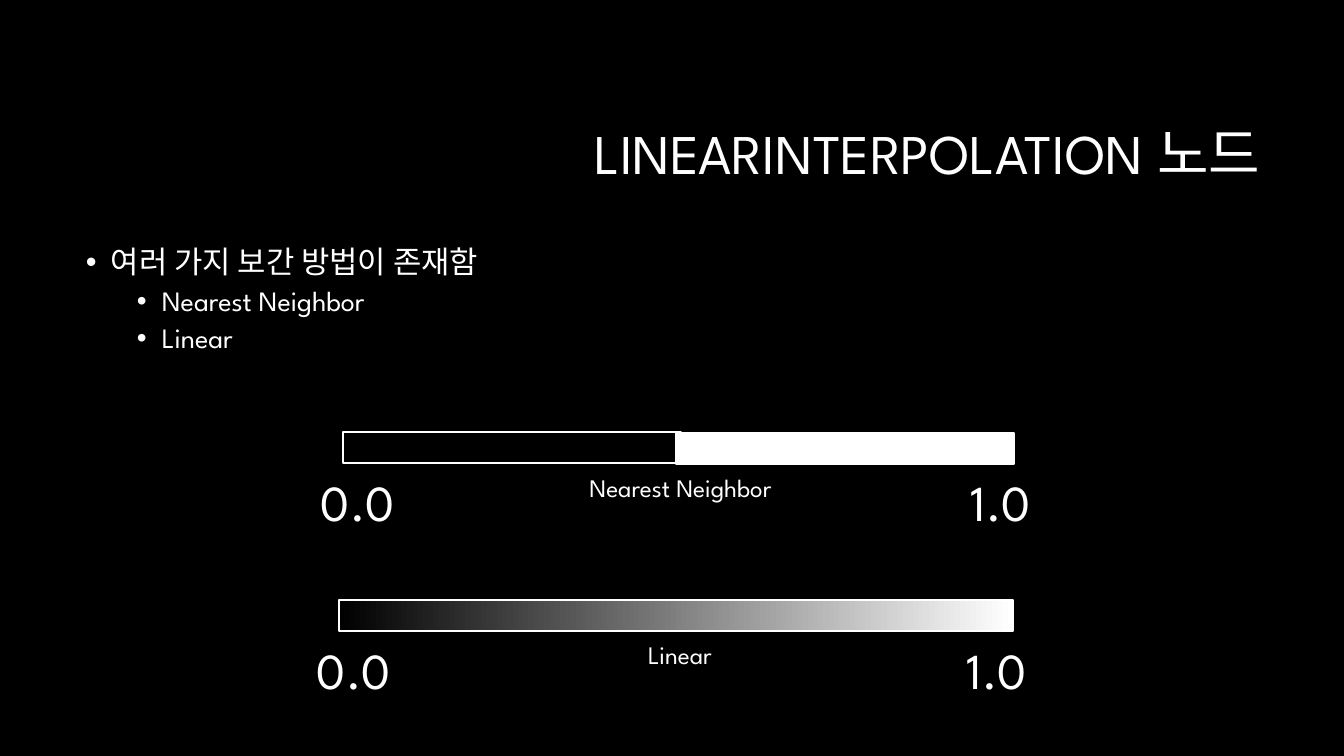
from dataclasses import dataclass

import lxml.etree
import pptx
import pptx.dml.color
import pptx.enum.shapes
import pptx.enum.text
import pptx.oxml.ns
import pptx.util

BLACK = pptx.dml.color.RGBColor(0x00, 0x00, 0x00)
WHITE = pptx.dml.color.RGBColor(0xFF, 0xFF, 0xFF)
FONT = "League Spartan"
SLIDE_WIDTH, SLIDE_HEIGHT = 1344, 756
EMU_PER_PX = 12192000 / SLIDE_WIDTH
ALIGN = pptx.enum.text.PP_ALIGN
ANCHOR = pptx.enum.text.MSO_ANCHOR


@dataclass(frozen=True)
class Area:
    left: int
    top: int
    width: int
    height: int


@dataclass(frozen=True)
class Bullet:
    text: str
    level: int
    size: int
    space_before: int
    indent: int


@dataclass(frozen=True)
class Scale:
    caption: str
    caption_area: Area
    label_left: int
    label_top: int


BULLETS = (
    Bullet("여러 가지 보간 방법이 존재함", 0, 22, 0, 25),
    Bullet("Nearest Neighbor", 1, 20, 5, 76),
    Bullet("Linear", 1, 20, 5, 76),
)
HANGING = 25
SCALES = (
    Scale("Nearest Neighbor", Area(567, 467, 227, 40), 267, 466),
    Scale("Linear", Area(635, 634, 90, 40), 263, 634),
)
LABEL_WIDTH, LABEL_HEIGHT, LABEL_STEP = 182, 72, 643


def px(length: int) -> int:
    return round(length * EMU_PER_PX)


def place(area: Area) -> tuple:
    return px(area.left), px(area.top), px(area.width), px(area.height)


def add_frame(page, area: Area, wrap: bool = True):
    frame = page.shapes.add_textbox(*place(area)).text_frame
    frame.word_wrap = wrap
    return frame


def add_span(para, text: str, size: int) -> None:
    span = para.add_run()
    span.text = text
    span.font.name = FONT
    span.font.size = pptx.util.Pt(size)
    span.font.color.rgb = WHITE


def add_label(page, area: Area, text: str, size: int, wrap: bool = True) -> None:
    frame = add_frame(page, area, wrap)
    frame.auto_size = pptx.enum.text.MSO_AUTO_SIZE.SHAPE_TO_FIT_TEXT
    para = frame.paragraphs[0]
    para.alignment = ALIGN.CENTER
    add_span(para, text, size)


def add_bar(page, area: Area):
    bar = page.shapes.add_shape(pptx.enum.shapes.MSO_SHAPE.RECTANGLE, *place(area))
    bar.shadow.inherit = False
    bar.line.color.rgb = WHITE
    bar.line.width = pptx.util.Pt(1)
    return bar


def add_title(page, text: str) -> None:
    frame = add_frame(page, Area(320, 85, 950, 142))
    frame.vertical_anchor = ANCHOR.MIDDLE
    para = frame.paragraphs[0]
    para.alignment = ALIGN.RIGHT
    para.line_spacing = 0.9
    add_span(para, text, 40)


def add_bullets(page, bullets: tuple) -> None:
    frame = add_frame(page, Area(76, 242, 1192, 444))
    for index, bullet in enumerate(bullets):
        para = frame.add_paragraph() if index else frame.paragraphs[0]
        para.level = bullet.level
        para.line_spacing = 0.9
        para.space_before = pptx.util.Pt(bullet.space_before)
        properties = para._p.get_or_add_pPr()
        properties.set("marL", str(px(bullet.indent)))
        properties.set("indent", str(-px(HANGING)))
        font = lxml.etree.SubElement(properties, pptx.oxml.ns.qn("a:buFont"))
        font.set("typeface", "Arial")
        mark = lxml.etree.SubElement(properties, pptx.oxml.ns.qn("a:buChar"))
        mark.set("char", "•")
        add_span(para, bullet.text, bullet.size)


def main() -> None:
    deck = pptx.Presentation()
    deck.slide_width, deck.slide_height = px(SLIDE_WIDTH), px(SLIDE_HEIGHT)
    page = deck.slides.add_slide(deck.slide_layouts[6])
    page.background.fill.solid()
    page.background.fill.fore_color.rgb = BLACK

    # Heading and list
    add_title(page, "LINEARINTERPOLATION 노드")
    add_bullets(page, BULLETS)

    # Linear: smooth ramp from black to white
    ramp = add_bar(page, Area(339, 600, 674, 31))
    ramp.fill.gradient()
    ramp.fill.gradient_angle = 180
    for stop, colour in zip(ramp.fill.gradient_stops, (WHITE, BLACK)):
        stop.color.rgb = colour

    # Nearest neighbor: hard step from black to white
    add_bar(page, Area(343, 432, 338, 31)).fill.background()
    bright_half = add_bar(page, Area(676, 433, 338, 31))
    bright_half.fill.solid()
    bright_half.fill.fore_color.rgb = WHITE

    # Captions and end values
    for scale in SCALES:
        add_label(page, scale.caption_area, scale.caption, 18, wrap=False)
        for step, value in enumerate(("0.0", "1.0")):
            left = scale.label_left + step * LABEL_STEP
            area = Area(left, scale.label_top, LABEL_WIDTH, LABEL_HEIGHT)
            add_label(page, area, value, 36)

    deck.save("out.pptx")


if __name__ == "__main__":
    main()
